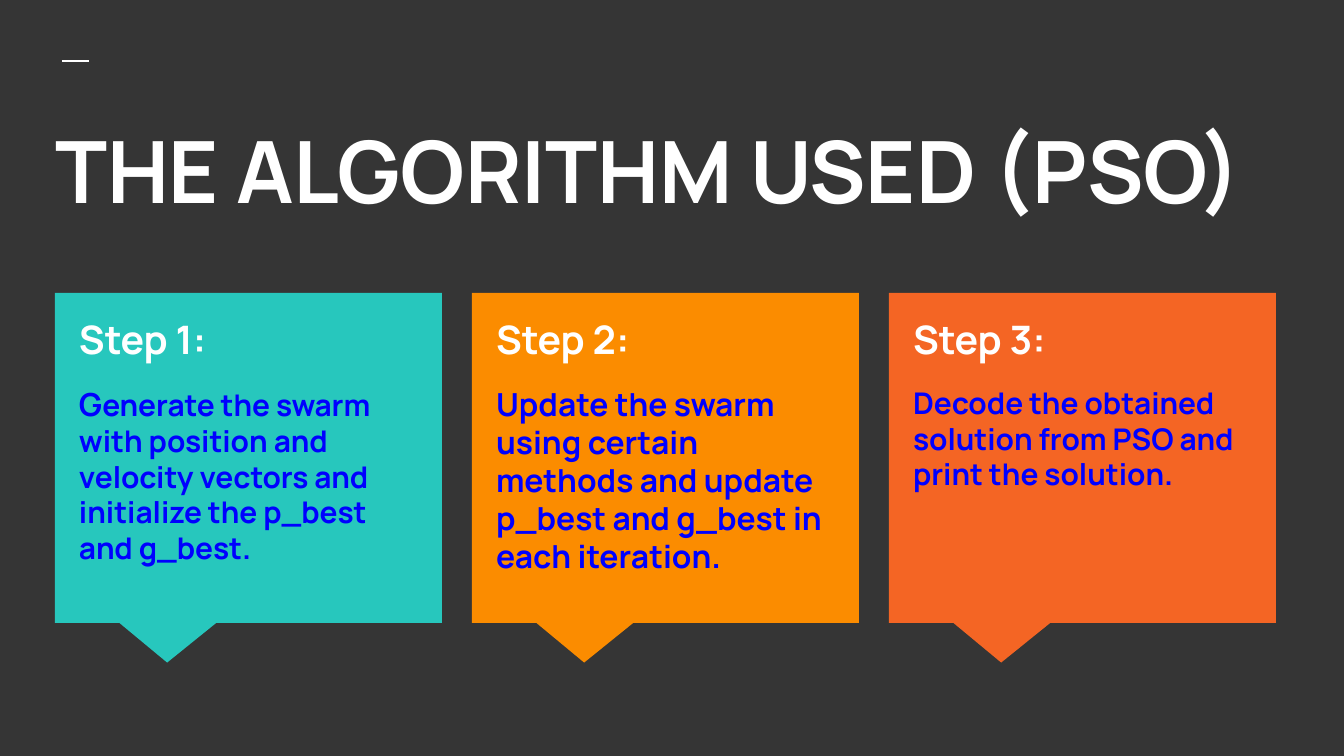
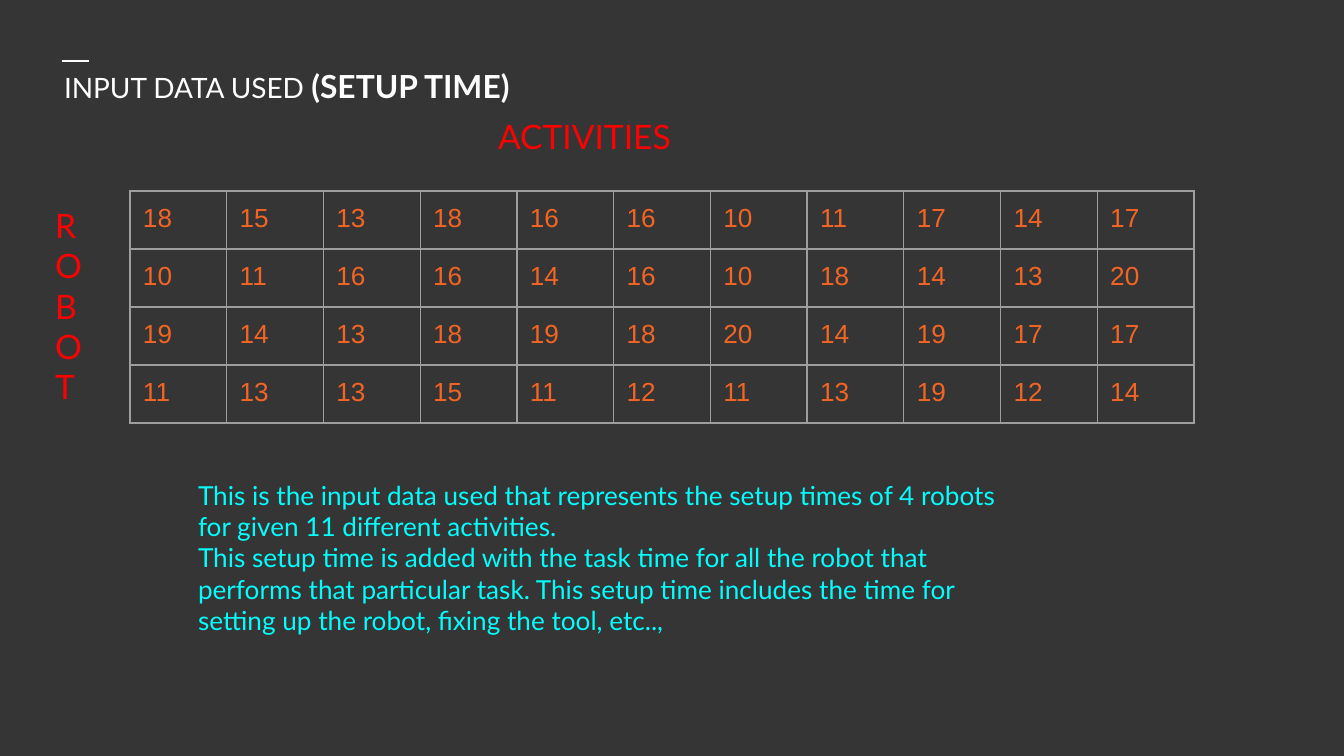
"""Build two slides on swarm search and robot setup times."""
import dataclasses

import pptx
import pptx.dml.color
import pptx.enum.shapes
import pptx.enum.text
import pptx.oxml
import pptx.oxml.ns
import pptx.util

SCALE = 9144000 / 1344


@dataclasses.dataclass(frozen=True)
class Theme:
    """Colours, fonts and type sizes of the deck."""
    back: str = "353535"
    white: str = "FFFFFF"
    teal: str = "27C7BD"
    amber: str = "FB8C00"
    orange: str = "F46524"
    blue: str = "0000FF"
    red: str = "FF0000"
    cyan: str = "00FFFF"
    grid: str = "9E9E9E"
    head: str = "Manrope"
    text: str = "Lato"
    data: str = "Arial"
    hero: int = 46
    step: int = 21
    label: int = 18
    large: int = 17
    note: int = 16
    small: int = 15
    body: int = 14


THEME = Theme()

STEPS = [
    (THEME.teal, "Step 1:", [
        ("G", THEME.large),
        ("enerate the swarm with position and velocity vectors "
         "and initialize the p_best and g_best.", THEME.note)]),
    (THEME.amber, "Step 2:", [
        ("Update the swarm using certain methods and update "
         "p_best and g_best in each iteration.", THEME.large)]),
    (THEME.orange, "Step 3:", [
        ("Decode the obtained solution from PSO and print the solution.",
         THEME.note)]),
]

TIMES = [
    [18, 15, 13, 18, 16, 16, 10, 11, 17, 14, 17],
    [10, 11, 16, 16, 14, 16, 10, 18, 14, 13, 20],
    [19, 14, 13, 18, 19, 18, 20, 14, 19, 17, 17],
    [11, 13, 13, 15, 11, 12, 11, 13, 19, 12, 14],
]

NOTES = [
    "This is the input data used that represents the setup times of 4 robots "
    "for given 11 different activities.",
    "This setup time is added with the task time for all the robot that "
    "performs that particular task. This setup time includes the time for "
    "setting up the robot, fixing the tool, etc..,",
]


def px(count):
    """Turn pixels into EMU."""
    return pptx.util.Emu(round(count * SCALE))


def rgb(code):
    """Turn a hex code into a colour."""
    return pptx.dml.color.RGBColor.from_string(code)


def place(shape, box):
    """Move a shape to a pixel box."""
    shape.left, shape.top, shape.width, shape.height = map(px, box)


def style(para, face, size, color, bold=False, gap=0):
    """Format a paragraph."""
    para.alignment = pptx.enum.text.PP_ALIGN.LEFT
    para.line_spacing = 1.0
    para.space_before = para.space_after = pptx.util.Pt(gap)
    font = para.font
    font.name, font.bold = face, bold
    font.size = pptx.util.Pt(size)
    font.color.rgb = rgb(color)


def frame(shape, grow=False):
    """Set wrapping, anchor and margins, and return the text frame."""
    fit = pptx.enum.text.MSO_AUTO_SIZE
    text = shape.text_frame
    text.word_wrap = True
    text.auto_size = fit.SHAPE_TO_FIT_TEXT if grow else fit.NONE
    text.vertical_anchor = pptx.enum.text.MSO_ANCHOR.TOP
    text.margin_left = text.margin_right = px(13)
    text.margin_top = text.margin_bottom = px(13)
    return text


def start(deck, layout):
    """Add a slide with the short rule at its top."""
    slide = deck.slides.add_slide(deck.slide_layouts[layout])
    rule = slide.shapes.add_connector(
        pptx.enum.shapes.MSO_CONNECTOR.STRAIGHT,
        px(62), px(61), px(89), px(61))
    rule.line.color.rgb = rgb(THEME.white)
    rule.line.width = pptx.util.Pt(1.5)
    props = rule._element.spPr
    props.append(props.makeelement(pptx.oxml.ns.qn("a:effectLst"), {}))
    return slide


def title(slide, box, face, size, words, bold=False, grow=False):
    """Fill the title and return its paragraph."""
    shape = slide.shapes.title
    place(shape, box)
    text = frame(shape, grow)
    text.text = words
    style(text.paragraphs[0], face, size, THEME.white, bold)
    return text.paragraphs[0]


def body(slide, box, lines):
    """Fill the body with plain paragraphs."""
    shape = slide.placeholders[1]
    place(shape, box)
    text = frame(shape, grow=True)
    text.text = "\n".join(lines)
    for para in text.paragraphs:
        style(para, THEME.text, THEME.body, THEME.cyan)
        props = para._p.get_or_add_pPr()
        props.set("marL", "0")
        props.set("indent", "0")
        plain = props.makeelement(pptx.oxml.ns.qn("a:buNone"), {})
        props.find(pptx.oxml.ns.qn("a:defRPr")).addprevious(plain)


def label(slide, box, words):
    """Add a red axis label."""
    text = frame(slide.shapes.add_textbox(*map(px, box)), grow=True)
    text.text = words
    for para in text.paragraphs:
        style(para, THEME.text, THEME.label, THEME.red)


def card(slide, left, color, name, parts):
    """Add a callout with a step name and its text."""
    shape = slide.shapes.add_shape(
        pptx.enum.shapes.MSO_SHAPE.RECTANGULAR_CALLOUT,
        px(left), px(293), px(387), px(330))
    shape.adjustments[0], shape.adjustments[1] = -0.21, 0.62
    shape.shadow.inherit = False
    shape.fill.solid()
    shape.fill.fore_color.rgb = rgb(color)
    shape.line.fill.background()
    text = frame(slide.shapes.add_textbox(
        px(left + 11), px(302), px(364), px(294)))
    text.text = name
    style(text.paragraphs[0], THEME.head, THEME.step, THEME.white, True)
    para = text.add_paragraph()
    style(para, THEME.head, parts[-1][1], THEME.blue, True, 12)
    for words, size in parts:
        run = para.add_run()
        run.text = words
        run.font.size = pptx.util.Pt(size)


def edge(cell):
    """Draw the four borders of a cell."""
    props = cell._tc.get_or_add_tcPr()
    space = pptx.oxml.ns.nsdecls("a")
    for side in "LRTB":
        props.append(pptx.oxml.parse_xml(
            f'<a:ln{side} {space} w="9525"><a:solidFill>'
            f'<a:srgbClr val="{THEME.grid}"/></a:solidFill></a:ln{side}>'))


def table(slide, box, rows):
    """Add a ruled table of numbers with equal cells."""
    wide = len(rows[0])
    grid = slide.shapes.add_table(len(rows), wide, *map(px, box)).table
    grid.first_row = grid.horz_banding = False
    for col in grid.columns:
        col.width = px(box[2] / wide)
    for row, nums in zip(grid.rows, rows):
        row.height = px(box[3] / len(rows))
        for cell, num in zip(row.cells, nums):
            cell.text = str(num)
            cell.margin_left = cell.margin_right = px(13)
            cell.margin_top = cell.margin_bottom = px(13)
            style(cell.text_frame.paragraphs[0],
                  THEME.data, THEME.body, THEME.orange)
            edge(cell)
            cell.fill.background()


def method(deck):
    """Build the slide with the three steps."""
    slide = start(deck, 5)
    title(slide, (42, 105, 1267, 150), THEME.head, THEME.hero,
          "THE ALGORITHM USED (PSO)", bold=True)
    for place_no, step in enumerate(STEPS):
        card(slide, 55 + 417 * place_no, *step)


def setup(deck):
    """Build the slide with the setup times."""
    slide = start(deck, 1)
    para = title(slide, (51, 54, 1175, 66), THEME.text, THEME.small,
                 "INPUT DATA USED ", grow=True)
    run = para.add_run()
    run.text = "(SETUP TIME)"
    run.font.size = pptx.util.Pt(THEME.large)
    run.font.bold = True
    table(slide, (130, 191, 1064, 232), TIMES)
    label(slide, (42, 192, 50, 231), "\n".join("ROBOT"))
    label(slide, (485, 103, 226, 67), "ACTIVITIES")
    body(slide, (185, 466, 840, 185), NOTES)


def main():
    """Build and save the deck."""
    deck = pptx.Presentation()
    deck.slide_width, deck.slide_height = px(1344), px(756)
    fill = deck.slide_master.background.fill
    fill.solid()
    fill.fore_color.rgb = rgb(THEME.back)
    method(deck)
    setup(deck)
    deck.save("out.pptx")


if __name__ == "__main__":
    main()
